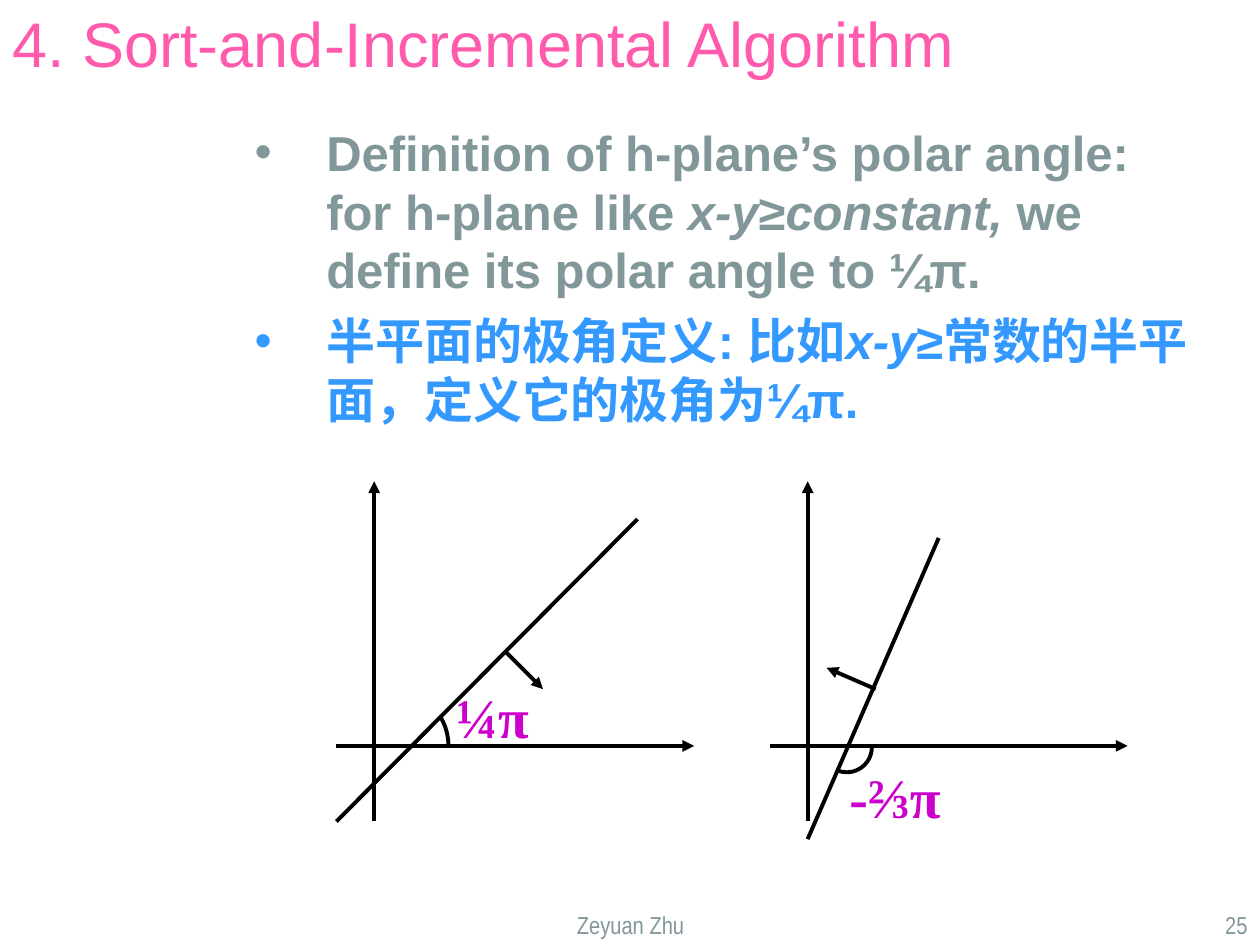
from dataclasses import dataclass

from lxml.etree import SubElement
from pptx import Presentation
from pptx.dml.color import RGBColor
from pptx.enum.shapes import MSO_CONNECTOR, MSO_SHAPE
from pptx.enum.text import MSO_ANCHOR, MSO_AUTO_SIZE, PP_ALIGN
from pptx.oxml.ns import qn
from pptx.util import Inches, Pt


@dataclass(frozen=True)
class Theme:
    """Colours, fonts and sizes of the slide."""
    title: str = "FF5BAD"
    grey: str = "82979A"
    blue: str = "3399FF"
    magenta: str = "CC00CC"
    black: str = "000000"
    heading_font: str = "Arial"
    label_font: str = "Times New Roman"
    footer_font: str = "Arial Narrow"
    title_size: float = 36
    body_size: float = 28
    label_size: float = 32
    footer_size: float = 14
    line_width: float = 2.25


class SlideBuilder:
    """Draws styled elements on the current slide."""

    def __init__(self, slide, theme):
        self.slide = slide
        self.theme = theme

    def place(self, shape, left, top, width, height):
        """Set the position and size of a shape in inches."""
        shape.left, shape.top = Inches(left), Inches(top)
        shape.width, shape.height = Inches(width), Inches(height)

    def add_run(self, paragraph, text, font_name, size, color, bold=False, italic=False):
        """Add one formatted run."""
        run = paragraph.add_run()
        run.text = text
        font = run.font
        font.name, font.size = font_name, Pt(size)
        font.bold, font.italic = bold, italic
        font.color.rgb = RGBColor.from_string(color)

    def title(self, text, box):
        """Fill the title placeholder."""
        shape = self.slide.shapes.title
        self.place(shape, *box)
        frame = shape.text_frame
        frame.auto_size = MSO_AUTO_SIZE.NONE
        frame.vertical_anchor = MSO_ANCHOR.MIDDLE
        paragraph = frame.paragraphs[0]
        paragraph.alignment = PP_ALIGN.LEFT
        theme = self.theme
        self.add_run(paragraph, text, theme.heading_font, theme.title_size, theme.title)

    def bullet(self, paragraph, color):
        """Give a paragraph a coloured bullet and a hanging indent."""
        properties = paragraph._p.get_or_add_pPr()
        properties.set("marL", str(Inches(0.57)))
        properties.set("indent", str(Inches(-0.57)))
        bullet_color = SubElement(properties, qn("a:buClr"))
        SubElement(bullet_color, qn("a:srgbClr"), val=color)
        SubElement(properties, qn("a:buFont"), typeface=self.theme.heading_font)
        SubElement(properties, qn("a:buChar"), char="•")

    def body(self, items, box):
        """Fill the body placeholder with bulleted items of lines of runs."""
        shape = self.slide.placeholders[1]
        self.place(shape, *box)
        frame = shape.text_frame
        frame.auto_size = MSO_AUTO_SIZE.NONE
        theme = self.theme
        for index, (color, lines) in enumerate(items):
            paragraph = frame.add_paragraph() if index else frame.paragraphs[0]
            self.bullet(paragraph, color)
            paragraph.space_before = Pt(7 if index else 0)
            for line_index, runs in enumerate(lines):
                if line_index:
                    paragraph.add_line_break()
                for text, italic in runs:
                    self.add_run(paragraph, text, theme.heading_font,
                                 theme.body_size, color, True, italic)

    def text_box(self, text, box, font_name, size, color, alignment, bold=False, insets=(0, 0)):
        """Add a text box of one run."""
        frame = self.slide.shapes.add_textbox(*map(Inches, box)).text_frame
        frame.word_wrap = True
        frame.margin_left = frame.margin_right = Inches(insets[0])
        frame.margin_top = frame.margin_bottom = Inches(insets[1])
        paragraph = frame.paragraphs[0]
        paragraph.alignment = alignment
        self.add_run(paragraph, text, font_name, size, color, bold)

    def label(self, text, box):
        """Add an angle label."""
        theme = self.theme
        self.text_box(text, box, theme.label_font, theme.label_size,
                      theme.magenta, PP_ALIGN.LEFT, True)

    def footer(self, text, left, width, alignment):
        """Add a text at the foot of the slide."""
        theme = self.theme
        self.text_box(text, (left, 7.17, width, 0.33), theme.footer_font,
                      theme.footer_size, theme.grey, alignment, insets=(0.1, 0.05))

    def stroke(self, line):
        """Apply the drawing line style."""
        line.color.rgb = RGBColor.from_string(self.theme.black)
        line.width = Pt(self.theme.line_width)

    def line(self, start, end, arrow=False):
        """Add a straight line, with an arrowhead at its end if asked."""
        connector = self.slide.shapes.add_connector(
            MSO_CONNECTOR.STRAIGHT, *map(Inches, (*start, *end)))
        self.stroke(connector.line)
        if arrow:
            SubElement(connector.line._get_or_add_ln(), qn("a:tailEnd"), type="triangle")
        SubElement(connector._element.spPr, qn("a:effectLst"))

    def axes(self, left):
        """Add a pair of coordinate axes."""
        self.line((left, 5.92), (left + 2.84, 5.92), True)
        self.line((left + 0.3, 6.52), (left + 0.3, 3.82), True)

    def arc(self, center, radius, start, end):
        """Add a clockwise arc between two angles in degrees."""
        x, y = center
        box = (x - radius, y - radius, 2 * radius, 2 * radius)
        shape = self.slide.shapes.add_shape(MSO_SHAPE.ARC, *map(Inches, box))
        shape.shadow.inherit = False
        shape.fill.background()
        self.stroke(shape.line)
        for index, angle in enumerate((start, end)):
            shape.adjustments[index] = angle * 0.6


def main():
    """Build and save the slide."""
    presentation = Presentation()
    presentation.slide_width, presentation.slide_height = Inches(10), Inches(7.5)
    theme = Theme()
    slide = presentation.slides.add_slide(presentation.slide_layouts[1])
    builder = SlideBuilder(slide, theme)

    builder.title("4. Sort-and-Incremental Algorithm", (0, 0, 8.17, 0.67))
    english = [
        [("Definition of h-plane’s polar angle:", False)],
        [("for h-plane like ", False), ("x-y", True), ("≥", False), ("constant,", True),
         (" we define its polar angle to ¼π.", False)],
    ]
    chinese = [[("半平面的极角定义: 比如", False), ("x-y", True),
                ("≥常数的半平面，定义它的极角为¼π.", False)]]
    builder.body([(theme.grey, english), (theme.blue, chinese)], (1.92, 0.92, 7.92, 2.88))

    builder.axes(2.67)
    builder.line((2.67, 6.52), (5.06, 4.12))
    builder.line((4.01, 5.17), (4.31, 5.47), True)
    builder.arc((3.11, 5.92), 0.45, 329, 0)
    builder.label("¼π", (3.62, 5.42, 0.88, 0.5))

    builder.axes(6.11)
    builder.line((7.45, 4.27), (6.41, 6.66))
    builder.line((6.95, 5.47), (6.56, 5.3), True)
    builder.arc((6.72, 5.93), 0.2, 355, 114)
    builder.label("-⅔π", (6.74, 6.05, 0.99, 0.54))

    builder.footer("Zeyuan Zhu", 3.42, 3.17, PP_ALIGN.CENTER)
    builder.footer("25", 7.92, 2.08, PP_ALIGN.RIGHT)
    presentation.save("out.pptx")


if __name__ == "__main__":
    main()
